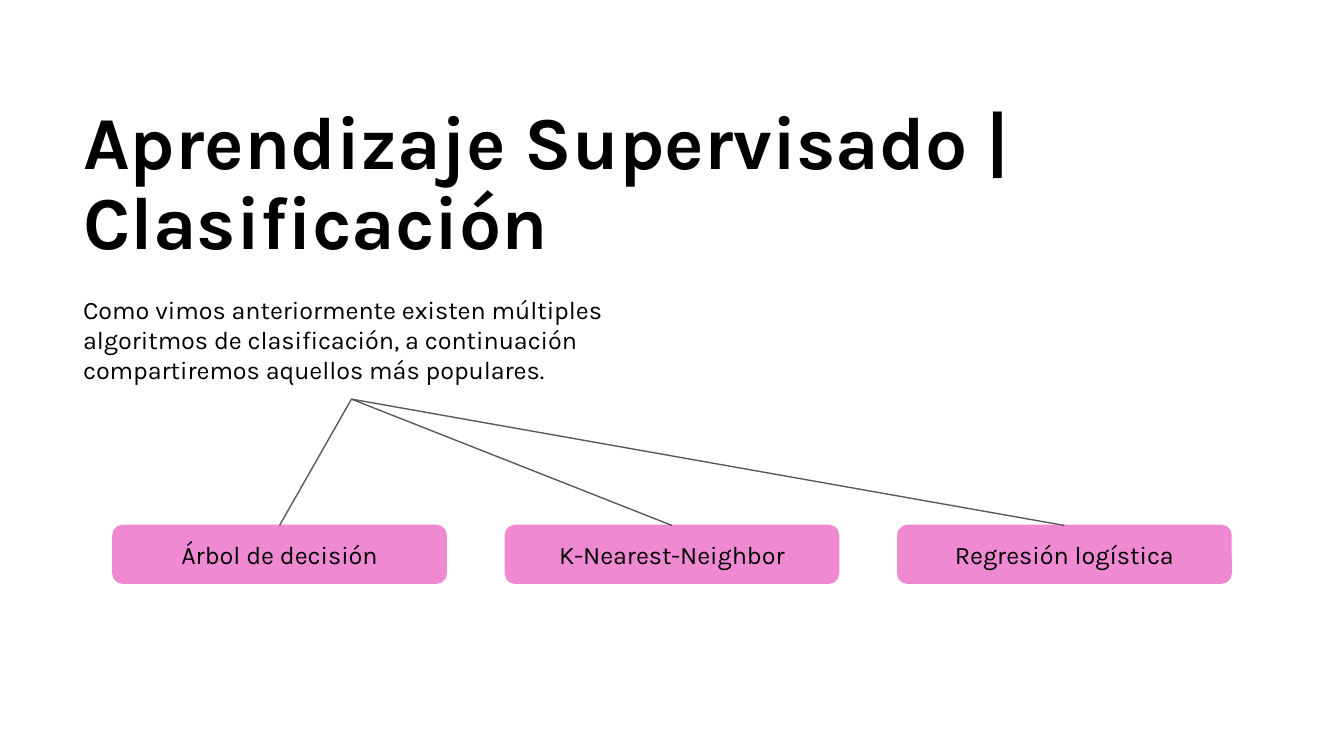
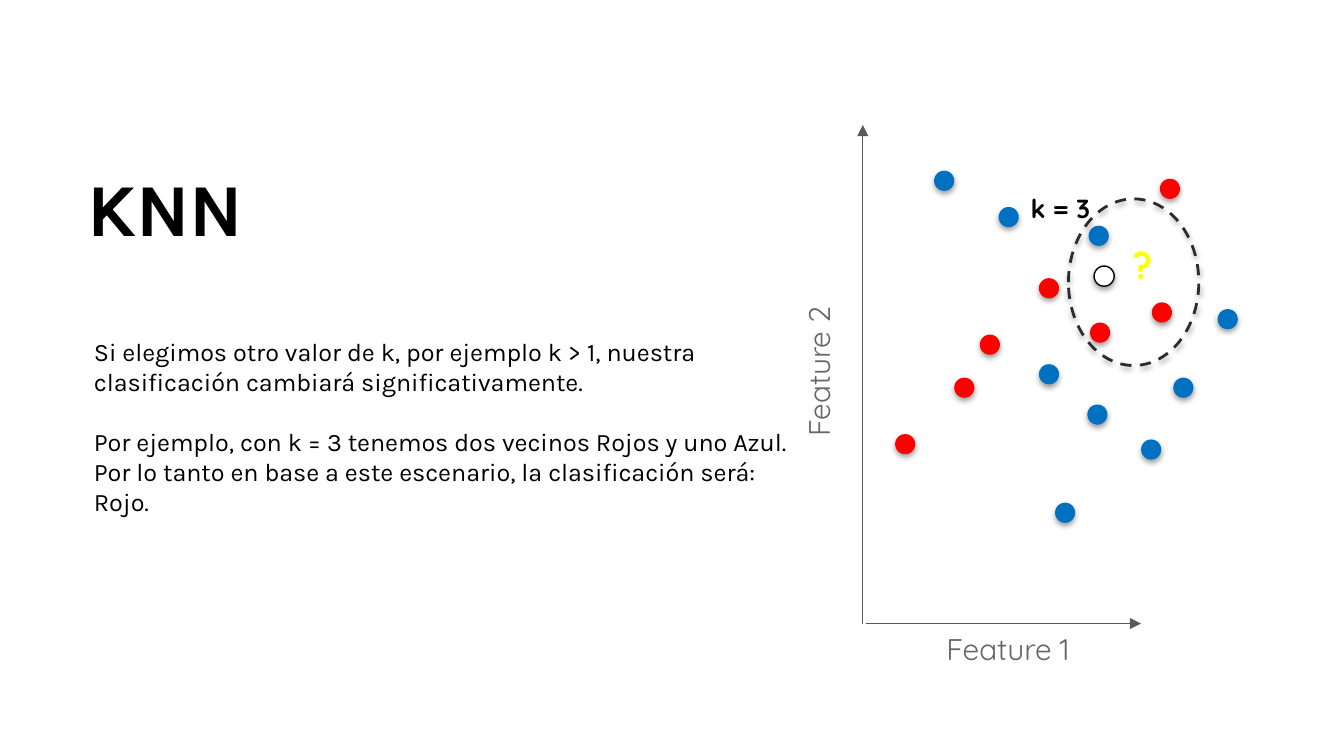
from dataclasses import dataclass
from typing import Any, NamedTuple, Optional

from lxml import etree
from pptx import Presentation
from pptx import util as u
from pptx.dml.color import RGBColor
from pptx.enum import dml, shapes, text
from pptx.oxml import ns


@dataclass(frozen=True)
class Theme:
    black: str = "000000"
    white: str = "FFFFFF"
    pink: str = "EF89D2"
    red: str = "FF0000"
    blue: str = "0070C0"
    yellow: str = "FFFF00"
    line: str = "595959"
    axis_text: str = "666666"
    dash: str = "2C2C2C"
    body_font: str = "Karla"
    chart_font: str = "Quicksand"
    title_size: float = 40
    body_size: float = 13.5
    axis_size: float = 16
    query_size: float = 20
    k_size: float = 14
    thin: float = 0.75
    thick: float = 1.5


T = Theme()


class Box(NamedTuple):
    left: float
    top: float
    width: float
    height: float

    def emu(self) -> list[u.Length]:
        return [u.Inches(v) for v in self]


class Style(NamedTuple):
    size: float
    color: str = T.black
    font: str = T.body_font
    bold: bool = False
    align: Any = text.PP_ALIGN.LEFT
    inset_y: float = 0.1
    anchor: Any = text.MSO_ANCHOR.TOP
    grow: bool = False
    spacing: float = 1.0
    gap: float = 0


class Label(NamedTuple):
    box: Box
    words: str
    style: Style
    rotation: float = 0


class Dots(NamedTuple):
    fill: str
    corners: list[tuple[float, float]]
    line: Optional[str] = None


TITLE = Style(T.title_size, bold=True, grow=True, spacing=0.9)
BODY = Style(T.body_size, grow=True, gap=16)
NODE = Style(T.body_size, align=text.PP_ALIGN.CENTER, anchor=text.MSO_ANCHOR.MIDDLE)
AXIS = Style(T.axis_size, T.axis_text, T.chart_font, align=text.PP_ALIGN.CENTER)
QUERY = Style(T.query_size, T.yellow, T.chart_font, True, text.PP_ALIGN.CENTER, 0.05, grow=True)
K_VALUE = Style(T.k_size, font=T.chart_font, bold=True, inset_y=0.05)


def apply(target: Any, values: dict[str, Any]) -> None:
    for name, value in values.items():
        setattr(target, name, value)


def write(sp: Any, paragraphs: list[str], style: Style) -> None:
    tf = sp.text_frame
    apply(tf, {
        "word_wrap": True,
        "auto_size": text.MSO_AUTO_SIZE.SHAPE_TO_FIT_TEXT if style.grow else text.MSO_AUTO_SIZE.NONE,
        "vertical_anchor": style.anchor,
        "margin_left": u.Inches(0.1), "margin_right": u.Inches(0.1),
        "margin_top": u.Inches(style.inset_y), "margin_bottom": u.Inches(style.inset_y),
    })
    for i, words in enumerate(paragraphs):
        p = tf.add_paragraph() if i else tf.paragraphs[0]
        apply(p, {"alignment": style.align, "line_spacing": style.spacing,
                  "space_before": u.Pt(style.gap if i else 0)})
        r = p.add_run()
        r.text = words
        apply(r.font, {"size": u.Pt(style.size), "name": style.font, "bold": style.bold})
        r.font.color.rgb = RGBColor.from_string(style.color)


def add_slide(prs: Any, title: str, box: Box) -> Any:
    s = prs.slides.add_slide(prs.slide_layouts[5])
    sp = s.shapes.title
    apply(sp, dict(zip(("left", "top", "width", "height"), box.emu())))
    write(sp, [title], TITLE)
    return s


def add_text(s: Any, box: Box, paragraphs: list[str], style: Style, rotation: float = 0) -> Any:
    sp = s.shapes.add_textbox(*box.emu())
    sp.rotation = rotation
    write(sp, paragraphs, style)
    return sp


def set_line(line: Any, color: str, width: float) -> None:
    line.color.rgb = RGBColor.from_string(color)
    line.width = u.Pt(width)


def add_shape(s: Any, kind: Any, box: Box, fill: Optional[str], line: Optional[str],
              width: float = T.thin) -> Any:
    sp = s.shapes.add_shape(kind, *box.emu())
    sp.shadow.inherit = False
    if fill:
        sp.fill.solid()
        sp.fill.fore_color.rgb = RGBColor.from_string(fill)
    else:
        sp.fill.background()
    if line:
        set_line(sp.line, line, width)
    else:
        sp.line.fill.background()
    return sp


def add_shadow(sp: Any, distance: float, alpha: int) -> None:
    effects = sp._element.spPr.find(ns.qn("a:effectLst"))
    shadow = etree.SubElement(effects, ns.qn("a:outerShdw"), blurRad=str(u.Pt(3.1)),
                              dist=str(u.Pt(distance)), dir="5400000", algn="t", rotWithShape="0")
    color = etree.SubElement(shadow, ns.qn("a:srgbClr"), val=T.black)
    etree.SubElement(color, ns.qn("a:alpha"), val=str(alpha * 1000))


def add_line(s: Any, start: tuple[float, float], end: tuple[float, float], arrow: bool = False) -> Any:
    c = s.shapes.add_connector(shapes.MSO_CONNECTOR.STRAIGHT, *(u.Inches(v) for v in start + end))
    set_line(c.line, T.line, T.thin)
    if arrow:
        etree.SubElement(c.line._get_or_add_ln(), ns.qn("a:tailEnd"), type="triangle")
    etree.SubElement(c._element.spPr, ns.qn("a:effectLst"))
    return c


def classification_slide(prs: Any) -> None:
    s = add_slide(prs, "Aprendizaje Supervisado | Clasificación", Box(0.52, 0.68, 8.9, 2.63))
    intro = add_text(s, Box(0.52, 2.09, 4.19, 0.88), [
        "Como vimos anteriormente existen múltiples algoritmos de clasificación, "
        "a continuación compartiremos aquellos más populares."], BODY)
    nodes = []
    for i, name in enumerate(("Árbol de decisión", "K-Nearest-Neighbor", "Regresión logística")):
        sp = add_shape(s, shapes.MSO_SHAPE.ROUNDED_RECTANGLE,
                       Box(0.84 + 2.92 * i, 3.91, 2.48, 0.43), T.pink, T.pink)
        write(sp, [name], NODE)
        nodes.append(sp)
    for sp in nodes:
        c = add_line(s, (2.61, 2.97), (2.61, 3.91))
        c.begin_connect(intro, 2)
        c.end_connect(sp, 0)


def knn_slide(prs: Any) -> None:
    s = add_slide(prs, "KNN", Box(0.55, 1.18, 5.45, 0.81))
    add_text(s, Box(0.6, 2.4, 5.45, 2.02), [
        "Si elegimos otro valor de k, por ejemplo k > 1, nuestra clasificación "
        "cambiará significativamente.",
        "Por ejemplo, con k = 3 tenemos dos vecinos Rojos y uno Azul. Por lo tanto "
        "en base a este escenario, la clasificación será: Rojo."], BODY)

    add_line(s, (6.42, 4.64), (6.42, 0.93), arrow=True)
    add_line(s, (6.44, 4.64), (8.49, 4.64), arrow=True)
    for label in (
        Label(Box(5.74, 4.59, 3.52, 0.43), "Feature 1", AXIS),
        Label(Box(4.31, 2.55, 3.52, 0.43), "Feature 2", AXIS, 270),
        Label(Box(6, 1.75, 5, 0.44), "?", QUERY),
        Label(Box(7.57, 1.38, 0.71, 0.31), "k = 3", K_VALUE),
    ):
        add_text(s, label.box, [label.words], label.style, label.rotation)

    for dots in (
        Dots(T.red, [(7.73, 2.07), (7.29, 2.49), (8.11, 2.4), (8.57, 2.25),
                     (7.1, 2.81), (6.66, 3.23), (8.63, 1.33)]),
        Dots(T.blue, [(9.06, 2.3), (7.85, 3.74), (8.73, 2.81), (8.49, 3.27), (6.95, 1.27),
                      (7.43, 1.54), (8.1, 1.68), (7.73, 2.71), (8.09, 3.01)]),
        Dots(T.white, [(8.14, 1.98)], T.black),
    ):
        for x, y in dots.corners:
            sp = add_shape(s, shapes.MSO_SHAPE.OVAL, Box(x, y, 0.15, 0.15), dots.fill, dots.line)
            add_shadow(sp, 1.6, 38)

    neighborhood = add_shape(s, shapes.MSO_SHAPE.OVAL, Box(7.95, 1.48, 0.97, 1.24),
                             None, T.dash, T.thick)
    neighborhood.line.dash_style = dml.MSO_LINE.DASH
    add_shadow(neighborhood, 1.8, 35)


def main() -> None:
    prs = Presentation()
    apply(prs, {"slide_width": u.Inches(10), "slide_height": u.Inches(10 * 9 / 16)})
    classification_slide(prs)
    knn_slide(prs)
    prs.save("out.pptx")


if __name__ == "__main__":
    main()
